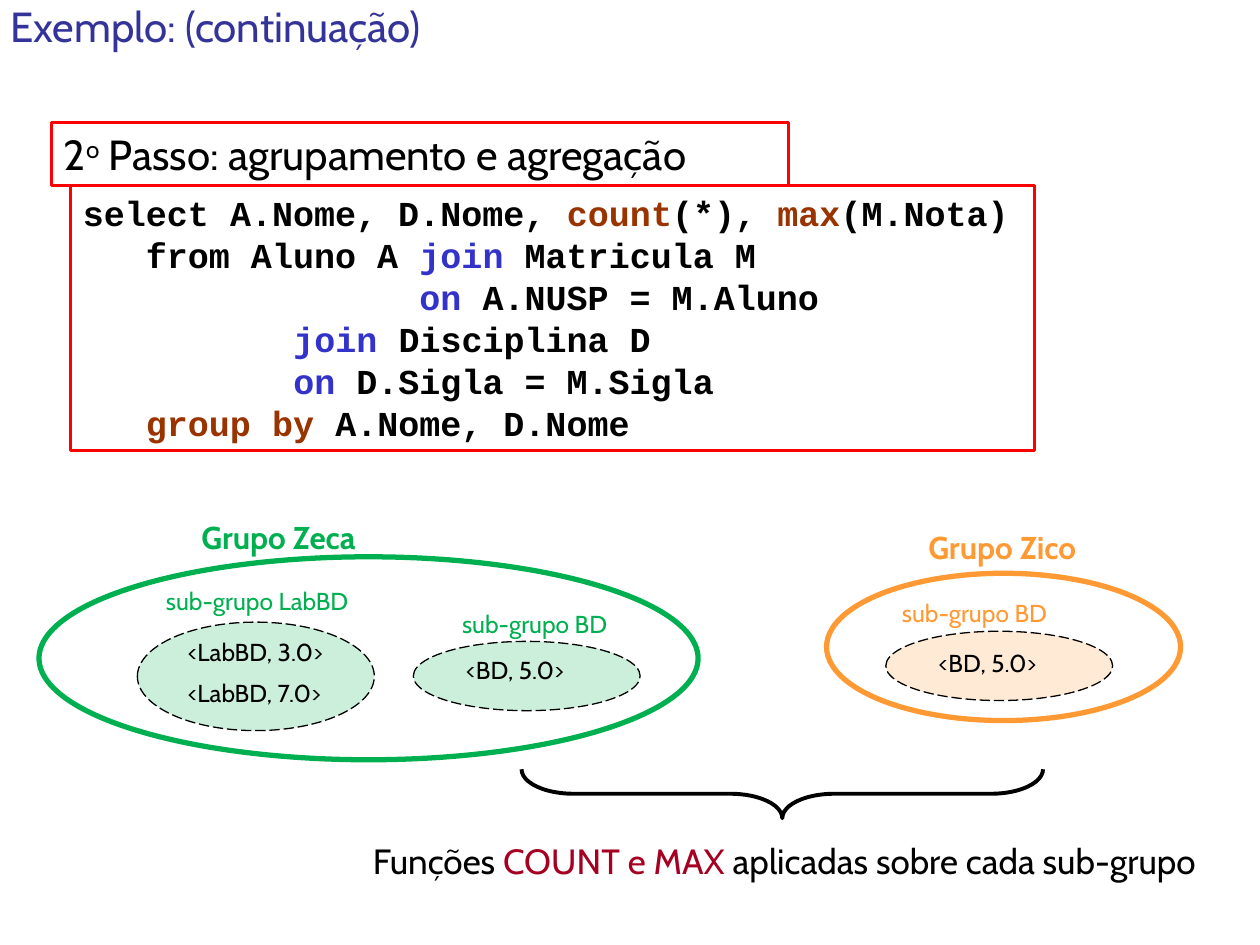
from lxml import etree
from pptx import Presentation
from pptx.dml.color import RGBColor
from pptx.enum import dml, shapes, text
from pptx.oxml.ns import qn
from pptx.util import Pt

BLACK = RGBColor(0x00, 0x00, 0x00)
WHITE = RGBColor(0xFF, 0xFF, 0xFF)
RED = RGBColor(0xFF, 0x00, 0x00)
GREEN = RGBColor(0x00, 0xB0, 0x50)
ORANGE = RGBColor(0xFF, 0x99, 0x33)
BLUE = RGBColor(0x33, 0x33, 0xCC)
BROWN = RGBColor(0x99, 0x33, 0x00)
CRIMSON = RGBColor(0xA5, 0x00, 0x21)
NAVY = RGBColor(0x33, 0x33, 0x99)
MSO = shapes.MSO_SHAPE

prs = Presentation()
prs.slide_width, prs.slide_height = Pt(720), Pt(540)
s = prs.slides.add_slide(prs.slide_layouts[6])


def add_text(lines, box, size=14, color=BLACK, font="Cabin", bold=False,
             wrap=False, border=None, margins=(7.2, 3.6), anchor=text.MSO_ANCHOR.TOP):
    """Each line is a string or a list of (text, colour, baseline) runs, last two optional."""
    box = [Pt(v) for v in box]
    if border is None:
        sp = s.shapes.add_textbox(*box)
    else:
        sp = s.shapes.add_shape(MSO.RECTANGLE, *box)
        sp.shadow.inherit = False
        sp.fill.background()
        sp.line.color.rgb = border
        sp.line.width = Pt(1.5)
    tf = sp.text_frame
    tf.word_wrap = wrap
    tf.auto_size = text.MSO_AUTO_SIZE.SHAPE_TO_FIT_TEXT
    tf.vertical_anchor = anchor
    tf.margin_left = tf.margin_right = Pt(margins[0])
    tf.margin_top = tf.margin_bottom = Pt(margins[1])
    for i, line in enumerate(lines):
        p = tf.paragraphs[0] if i == 0 else tf.add_paragraph()
        p.alignment = text.PP_ALIGN.LEFT
        for part in [(line,)] if isinstance(line, str) else line:
            r = p.add_run()
            r.text = part[0]
            r.font.name, r.font.size, r.font.bold = font, Pt(size), bold
            r.font.color.rgb = part[1] if len(part) > 1 else color
            if len(part) > 2:
                r.font._element.set("baseline", str(part[2] * 1000))


def add_ellipse(box, color, tinted):
    sp = s.shapes.add_shape(MSO.OVAL, *[Pt(v) for v in box])
    sp.shadow.inherit = False
    if tinted:
        sp.fill.solid()
        sp.fill.fore_color.rgb = color
        clr = sp.fill._xPr.find(qn("a:solidFill"))[0]
        etree.SubElement(clr, qn("a:alpha")).set("val", "20000")
        sp.line.color.rgb = BLACK
        sp.line.width = Pt(0.75)
        sp.line.dash_style = dml.MSO_LINE.LONG_DASH
    else:
        sp.fill.background()
        sp.line.color.rgb = color
        sp.line.width = Pt(3)


# Title
add_text(["Exemplo: (continuação)"], (6, 0, 326, 29), size=24, color=NAVY,
         wrap=True, margins=(0, 0), anchor=text.MSO_ANCHOR.BOTTOM)

# Query and its heading
add_text([
    [("select A.Nome, D.Nome, ",), ("count", BROWN), ("(*), ",), ("max", BROWN), ("(M.Nota)",)],
    [("\tfrom Aluno A ",), ("join", BLUE), (" Matricula M",)],
    [("\t             ",), ("on", BLUE), (" A.NUSP = M.Aluno",)],
    [("          ",), ("join", BLUE), (" Disciplina D",)],
    [("          ",), ("on", BLUE), (" D.Sigla = M.Sigla",)],
    [("\t",), ("group by ", BROWN), ("A.Nome, D.Nome",)],
], (40.3, 106, 551, 151.5), size=20, font="Courier New", bold=True, wrap=True, border=RED)
add_text([[("2",), ("o", BLACK, 30), (" Passo: agrupamento e agregação",)]],
         (29.5, 70, 421, 36), size=24, border=RED)

# Groups: outline, tinted subgroups
for box, color, tinted in [
    ((22.3, 318.2, 376.6, 116), GREEN, False),
    ((78.5, 355.5, 135.4, 62), GREEN, True),
    ((236.2, 366.5, 129.6, 39.6), GREEN, True),
    ((472.3, 327.6, 202.3, 84.2), ORANGE, False),
    ((506.2, 360.7, 129.6, 39.6), ORANGE, True),
]:
    add_ellipse(box, color, tinted)

# Group names
for name, box, color in [
    ("Grupo Zeca", (108, 292.3, 116, 29), GREEN),
    ("Grupo Zico", (523.4, 298.1, 111, 29), ORANGE),
]:
    add_text([name], box, size=18, color=color, bold=True)

# Subgroup names and their rows
for label, box, color in [
    ("sub-grupo LabBD", (87.8, 331.2, 129.6, 24.5), GREEN),
    ("sub-grupo BD", (257, 344.2, 105.8, 24.5), GREEN),
    ("sub-grupo BD", (508.3, 338.4, 105.8, 24.5), ORANGE),
    ("<LabBD, 3.0>", (100.1, 360.7, 100.8, 24.5), BLACK),
    ("<LabBD, 7.0>", (100.1, 383.8, 100.8, 24.5), BLACK),
]:
    add_text([label], box, color=color)
for left, top in [(259.2, 370.8), (529.2, 366.5)]:
    add_text(["<BD, 5.0>"], (left, top, 117.4, 24.5), wrap=True)

# Brace and conclusion
sp = s.shapes.add_shape(MSO.RIGHT_BRACE, Pt(433), Pt(304.6), Pt(28), Pt(298))
sp.rotation = 90
sp.adjustments[0] = 1.06
sp.shadow.inherit = False
sp.fill.solid()
sp.fill.fore_color.rgb = WHITE
sp.line.color.rgb = BLACK
sp.line.width = Pt(2.25)
add_text([[("Funções ",), ("COUNT e MAX ", CRIMSON), ("aplicadas sobre cada sub-grupo",)]],
         (206, 476, 536.4, 31.7), size=20)

prs.save("out.pptx")
